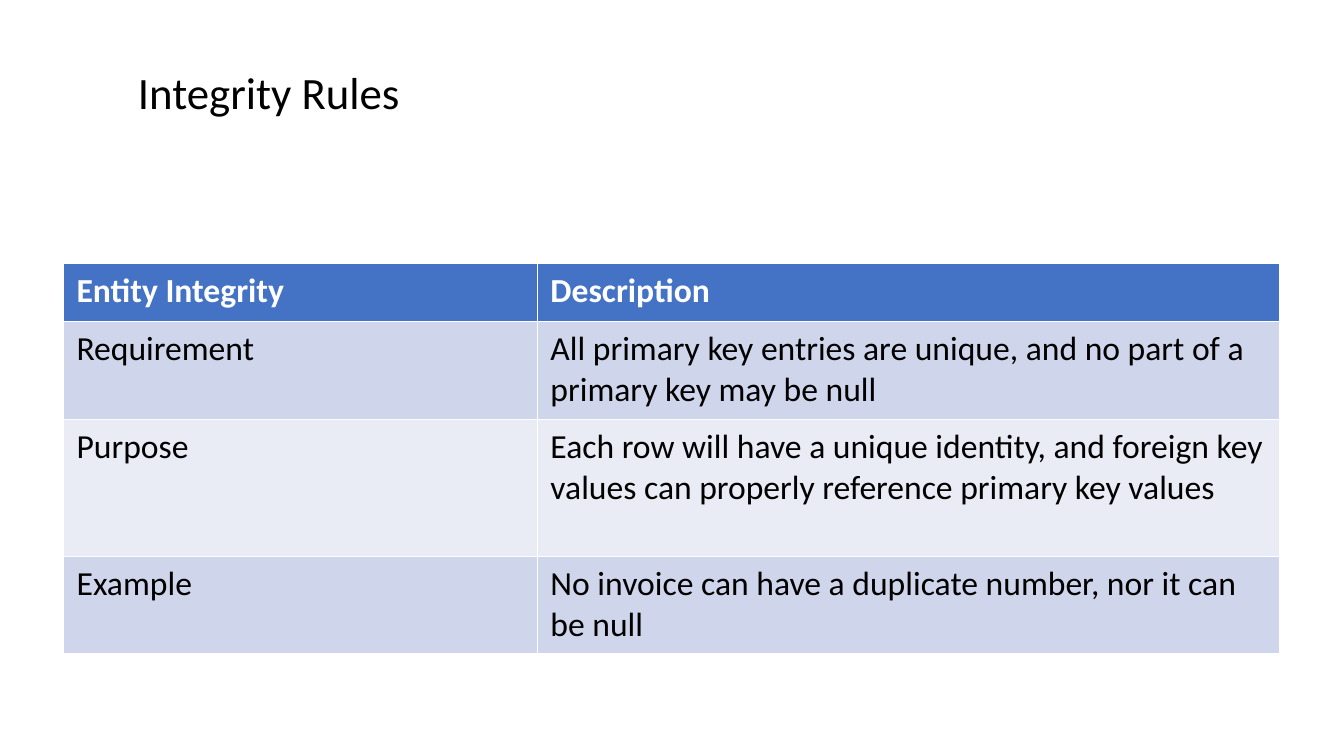
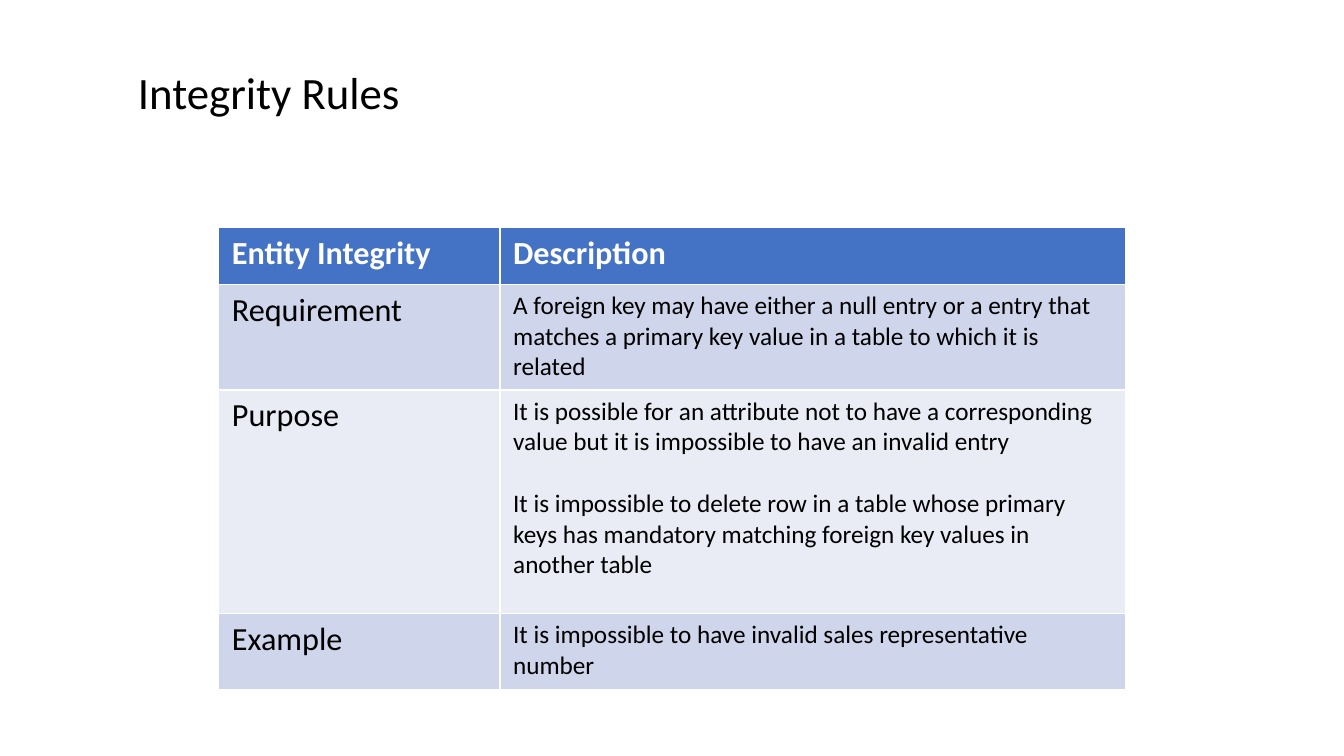
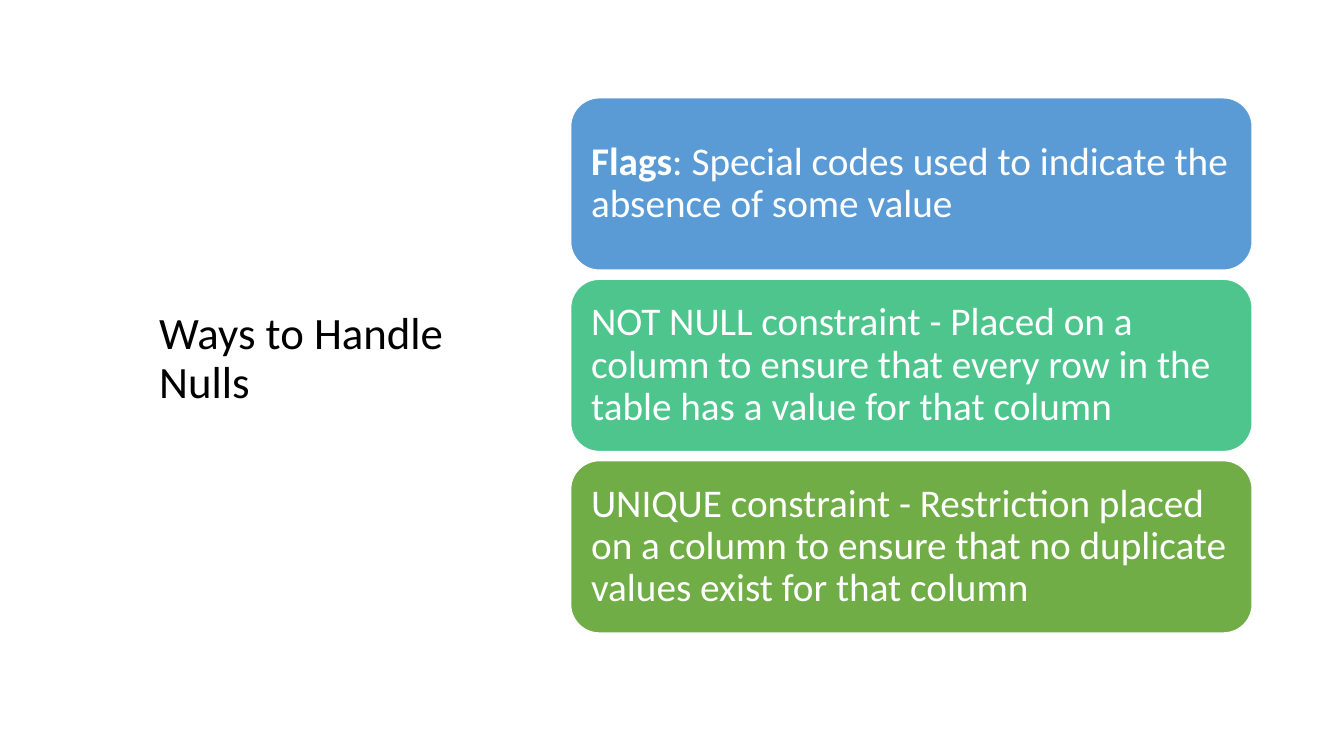
from lxml import etree
from pptx import Presentation, util as u
from pptx.dml.color import RGBColor
from pptx.enum import shapes, text
from pptx.oxml import ns

COLORS = {
    "ink": "000000", "paper": "FFFFFF", "header": "4472C4",
    "band": "CFD5EA", "light": "E9EBF5",
    "blue": "5B9BD5", "mint": "4DC58D", "green": "70AD47",
}
FONT = "Calibri"
TITLE_BOX = (1.27, 0.41, 11.35, 1.06)


def rgb(name):
    """Return the named palette colour."""
    return RGBColor.from_string(COLORS[name])


def add_run(p, words, size, color, bold=False):
    """Append a formatted run to a paragraph."""
    r = p.add_run()
    r.text = words
    for key, value in {"name": FONT, "size": u.Pt(size), "bold": bold}.items():
        setattr(r.font, key, value)
    r.font.color.rgb = rgb(color)


def set_margins(target, x, y):
    """Set the horizontal and vertical insets of a cell or text frame."""
    margins = {"margin_left": x, "margin_right": x, "margin_top": y, "margin_bottom": y}
    for key, value in margins.items():
        setattr(target, key, u.Inches(value))


def set_borders(cell, color, width):
    """Draw all four borders of a table cell."""
    tc_pr = cell._tc.get_or_add_tcPr()
    for index, side in enumerate(("lnL", "lnR", "lnT", "lnB")):
        ln = etree.Element(ns.qn("a:" + side), w=str(u.Pt(width)))
        fill = etree.SubElement(ln, ns.qn("a:solidFill"))
        etree.SubElement(fill, ns.qn("a:srgbClr"), val=COLORS[color])
        tc_pr.insert(index, ln)


def add_title(slide, words, box=TITLE_BOX):
    """Place the slide title, centred vertically in its box."""
    tf = slide.shapes.add_textbox(*map(u.Inches, box)).text_frame
    tf.word_wrap = True
    tf.vertical_anchor = text.MSO_ANCHOR.MIDDLE
    p = tf.paragraphs[0]
    p.line_spacing = 0.9
    add_run(p, words, 32, "ink")


def fill_cell(cell, paragraphs, size, color, fill, bold, inset):
    """Write and format one table cell."""
    set_margins(cell, *inset)
    cell.fill.solid()
    cell.fill.fore_color.rgb = rgb(fill)
    set_borders(cell, "paper", 1)
    tf = cell.text_frame
    for index, words in enumerate(paragraphs):
        p = tf.add_paragraph() if index else tf.paragraphs[0]
        if index:
            p.space_before = u.Pt(22)
        add_run(p, words, size, color, bold)


def add_rules_table(slide, left, top, widths, heights, rows, sizes, inset):
    """Place a two-column table; sizes are those of labels and descriptions."""
    box = (left, top, sum(widths), sum(heights))
    frame = slide.shapes.add_table(len(heights), len(widths), *map(u.Inches, box))
    table = frame.table
    table.horz_banding = False
    for column, width in zip(table.columns, widths):
        column.width = u.Inches(width)
    for row, height in zip(table.rows, heights):
        row.height = u.Inches(height)
    label_size, body_size = sizes
    for i, (label, *paragraphs) in enumerate([("Entity Integrity", "Description"), *rows]):
        header = i == 0
        fill = "header" if header else ("band" if i % 2 else "light")
        color = "paper" if header else "ink"
        fill_cell(table.cell(i, 0), [label], label_size, color, fill, header, inset)
        fill_cell(table.cell(i, 1), paragraphs, label_size if header else body_size,
                  color, fill, header, inset)


def add_cards(slide, box, gap, cards):
    """Stack equal rounded cards in a box."""
    left, top, width, height = box
    card_height = (height - gap * (len(cards) - 1)) / len(cards)
    for i, (fill, runs) in enumerate(cards):
        place = (left, top + i * (card_height + gap), width, card_height)
        sp = slide.shapes.add_shape(shapes.MSO_SHAPE.ROUNDED_RECTANGLE, *map(u.Inches, place))
        sp.shadow.inherit = False
        sp.fill.solid()
        sp.fill.fore_color.rgb = rgb(fill)
        sp.line.color.rgb = rgb("paper")
        sp.line.width = u.Pt(1)
        tf = sp.text_frame
        tf.word_wrap = True
        tf.vertical_anchor = text.MSO_ANCHOR.MIDDLE
        set_margins(tf, 0.12, 0.12)
        p = tf.paragraphs[0]
        p.alignment = text.PP_ALIGN.LEFT
        p.line_spacing = 0.9
        for words, bold in runs:
            add_run(p, words, 28, "paper", bold)


def entity_slide(slide):
    """Build the entity integrity slide."""
    add_title(slide, "Integrity Rules")
    add_rules_table(slide, 0.63, 2.61, (4.7, 7.36), (0.58, 0.97, 1.36, 0.97), [
        ("Requirement",
         "All primary key entries are unique, and no part of a primary key may be null"),
        ("Purpose",
         "Each row will have a unique identity, and foreign key values can properly "
         "reference primary key values"),
        ("Example", "No invoice can have a duplicate number, nor it can be null"),
    ], (24, 24), (0.13, 0.07))


def foreign_key_slide(slide):
    """Build the foreign key rules slide."""
    add_title(slide, "Integrity Rules")
    add_rules_table(slide, 2.17, 2.26, (2.79, 6.2), (0.56, 1.05, 2.22, 0.75), [
        ("Requirement",
         "A foreign key may have either a null entry or a entry that matches a primary "
         "key value in a table to which it is related"),
        ("Purpose",
         "It is possible for an attribute not to have a corresponding value but it is "
         "impossible to have an invalid entry",
         "It is impossible to delete row in a table whose primary keys has mandatory "
         "matching foreign key values in another table"),
        ("Example", "It is impossible to have invalid sales representative number"),
    ], (23, 18), (0.13, 0.06))


def nulls_slide(slide):
    """Build the slide on handling nulls."""
    add_title(slide, "Ways to Handle Nulls", (1.48, 1.12, 3.64, 4.89))
    add_cards(slide, (5.66, 0.97, 6.76, 5.31), 0.09, [
        ("blue", [("Flags", True),
                  (": Special codes used to indicate the absence of some value", False)]),
        ("mint", [("NOT NULL constraint - Placed on a column to ensure that every row in "
                   "the table has a value for that column", False)]),
        ("green", [("UNIQUE constraint - Restriction placed on a column to ensure that no "
                    "duplicate values exist for that column", False)]),
    ])


def main():
    """Build and save the presentation."""
    prs = Presentation()
    prs.slide_width, prs.slide_height = u.Inches(13.33), u.Inches(7.5)
    for build in (entity_slide, foreign_key_slide, nulls_slide):
        build(prs.slides.add_slide(prs.slide_layouts[6]))
    prs.save("out.pptx")


if __name__ == "__main__":
    main()
